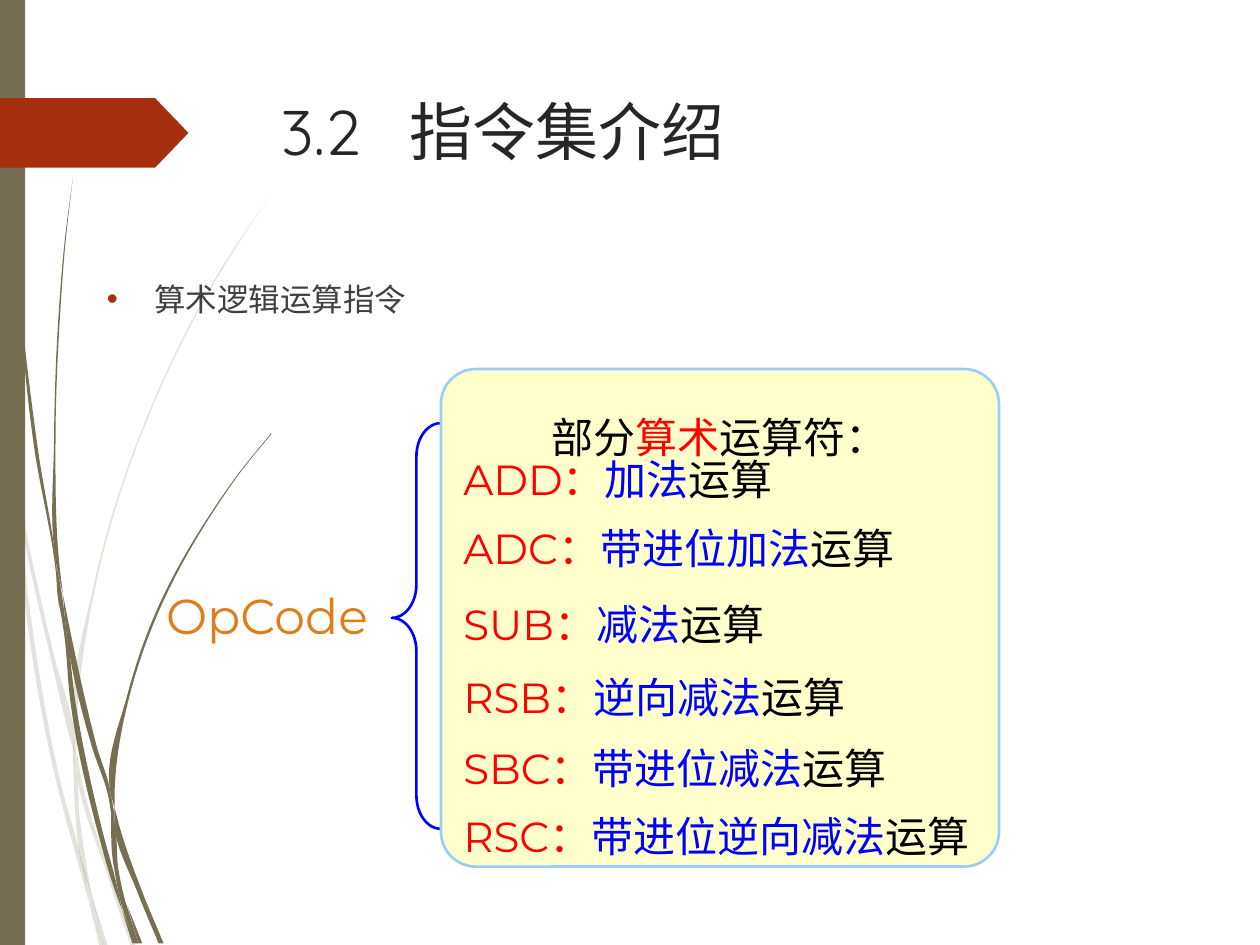
import pptx
import pptx.dml.color
import pptx.enum.shapes
import pptx.enum.text
import pptx.oxml
import pptx.oxml.ns
import pptx.util

Cm = pptx.util.Cm
Color = pptx.dml.color.RGBColor
Preset = pptx.enum.shapes.MSO_SHAPE
Anchor = pptx.enum.text.MSO_ANCHOR
Align = pptx.enum.text.PP_ALIGN

OLIVE = Color(0x76, 0x6F, 0x54)
RUST = Color(0xA5, 0x30, 0x10)
ORANGE = Color(0xDE, 0x7E, 0x18)
INK = Color(0x26, 0x26, 0x26)
GREY = Color(0x40, 0x40, 0x40)
BLACK = Color(0, 0, 0)
RED = Color(0xFF, 0, 0)
BLUE = Color(0, 0, 0xFF)
CREAM = Color(0xFF, 0xFF, 0xCC)
SKY = Color(0x99, 0xCC, 0xFF)

HEADING, LABEL, SERIF = "Quicksand", "Montserrat", "Times New Roman"

PALE_BLADES = [
    [(0, 7.16, 0), (0, 7.6, 0.06), (0.09, 8.18, 0.06), (0.2, 8.89, 0)],
    [(0.25, 8.76, 0), (0.3, 9.55, 0.04), (1.02, 13.26, 0.08), (1.41, 14.88, 0.09), (1.5, 15.21, 0)],
    [(1.55, 15.14, 0), (1.55, 15.49, 0.05), (2.16, 17.63, 0.06), (2.64, 19.08, 0.1)],
    [(1.85, 18.06, 0), (2.11, 19.08, 0.07)],
    [(0.2, 8.89, 0), (0.3, 9.55, 0.03), (0.48, 11.94, 0.08), (1.14, 15.77, 0.08),
     (1.63, 17.6, 0.07), (1.78, 18.14, 0)],
    [(1.47, 15.21, 0), (1.48, 15.49, 0.06), (1.52, 16.41, 0.08), (1.63, 17.35, 0.1),
     (1.85, 18.06, 0)],
    [(5.51, 3.89, 0), (5.1, 4.45, 0.01), (4.72, 5, 0.03), (4.01, 6.2, 0.03), (2.79, 8.84, 0.03),
     (1.91, 11.71, 0.04), (1.5, 14.83, 0.05), (1.55, 15.14, 0)],
    [(1.78, 18.14, 0), (2.01, 19.08, 0.08)],
    [(1.5, 14.88, 0), (1.47, 15.21, 0.07), (1.55, 15.49, 0)],
    [(1.65, 17.35, 0), (1.75, 17.96, 0.08), (2.08, 19.08, 0.03)],
]
DARK_BLADES = [
    [(0.05, 0, 0.03), (0.13, 2.79, 0.03), (0.36, 5.91, 0.03), (0.69, 9.02, 0.07),
     (1.13, 11.55, 0.02), (1.19, 12.22, 0)],
    [(1.27, 11.99, 0), (1.35, 12.83, 0.09), (1.85, 15.04, 0.1), (2.19, 16.08, 0.05),
     (2.24, 16.38, 0)],
    [(2.31, 16.28, 0), (2.31, 16.66, 0.1), (2.77, 17.98, 0.1), (3.2, 19.02, 0.1)],
    [(1.19, 12.12, 0), (1.3, 12.83, 0.05), (1.42, 14.14, 0.1), (1.96, 16.73, 0.1),
     (2.3, 17.9, 0.07), (2.46, 18.34, 0)],
    [(1.47, 3.58, 0), (1.3, 4.9, 0.02), (1.19, 6.22, 0.03), (1.09, 8.86, 0.03),
     (1.14, 11.4, 0.06), (1.27, 11.99, 0)],
    [(2.57, 18.26, 0), (2.79, 19.02, 0.08)],
    [(1.14, 11.4, 0), (1.16, 11.99, 0.09), (1.35, 12.83, 0)],
    [(5.46, 8.74, 0.02), (4.85, 9.49, 0.02), (4.28, 10.3, 0.03), (3.28, 12.04, 0.05),
     (2.57, 14, 0.05), (2.24, 16.03, 0.07), (2.31, 16.28, 0)],
    [(2.46, 18.34, 0), (2.67, 19.02, 0.08)],
    [(2.24, 16.38, 0), (2.24, 16.5, 0.04), (2.31, 17.55, 0.08), (2.54, 18.26, 0)],
    [(2.24, 16.03, 0), (2.24, 16.38, 0.06), (2.31, 16.66, 0)],
    [(2.31, 17.55, 0), (2.44, 18.21, 0.1), (2.74, 19.02, 0.05)],
]
OPERATORS = [
    (1.6, "ADD：", "加法"),
    (3, "ADC：", "带进位加法"),
    (4.52, "SUB：", "减法"),
    (6, "RSB：", "逆向减法"),
    (7.42, "SBC：", "带进位减法"),
    (8.79, "RSC：", "带进位逆向减法"),
]


def write_span(para, text, *, font, size, color):
    span = para.add_run()
    span.text = text
    span.font.name = font
    span.font.size = pptx.util.Pt(size)
    span.font.color.rgb = color


def add_paragraph_mark(para, xml):
    namespace = pptx.oxml.ns.nsdecls("a")
    para._p.get_or_add_pPr().append(pptx.oxml.parse_xml(xml.format(namespace)))


def paint(shape, fill=None, line=None):
    shape.shadow.inherit = False
    if fill is None:
        shape.fill.background()
    else:
        shape.fill.solid()
        shape.fill.fore_color.rgb = fill
    if line is None:
        shape.line.fill.background()
    else:
        shape.line.color.rgb = line
        shape.line.width = pptx.util.Pt(1.5)


def add_preset(page, preset, box, fill=None, line=None):
    shape = page.shapes.add_shape(preset, *(Cm(length) for length in box))
    paint(shape, fill, line)
    return shape


def curve_through(points):
    gaps = [end[1] - start[1] for start, end in zip(points, points[1:])]
    rates = [(end[0] - start[0]) / gap for start, end, gap in zip(points, points[1:], gaps)]
    inner = [(gaps[i] * rates[i + 1] + gaps[i + 1] * rates[i]) / (gaps[i] + gaps[i + 1])
             for i in range(len(gaps) - 1)]
    slopes = [rates[0], *inner, rates[-1]]
    curve = [points[0]]
    for i, gap in enumerate(gaps):
        (x, y), (end_x, end_y) = points[i:i + 2]
        third = gap / 3
        curve += [(x + third * slopes[i], y + third),
                  (end_x - third * slopes[i + 1], end_y - third), (end_x, end_y)]
    return curve


def add_blade(page, left, top, points, opacity):
    near = curve_through([(left + x, top + y) for x, y, _ in points])
    far = curve_through([(left + x + width, top + y) for x, y, width in points])
    outline = [(Cm(x), Cm(y)) for x, y in near + [near[-1], far[-1]] + far[::-1]]
    builder = page.shapes.build_freeform(*outline[0])
    builder.add_line_segments(outline[1:], close=True)
    blade = builder.convert_to_shape()
    paint(blade, OLIVE)
    lines = list(blade.element.iter(pptx.oxml.ns.qn("a:lnTo")))
    for start in range(0, len(lines) - 2, 3):
        bend = pptx.oxml.parse_xml("<a:cubicBezTo {}/>".format(pptx.oxml.ns.nsdecls("a")))
        lines[start].addprevious(bend)
        for line in lines[start:start + 3]:
            bend.append(line[0])
            line.getparent().remove(line)
    color = next(blade.element.iter(pptx.oxml.ns.qn("a:srgbClr")))
    alpha = '<a:alpha {} val="{}"/>'.format(pptx.oxml.ns.nsdecls("a"), opacity * 1000)
    color.append(pptx.oxml.parse_xml(alpha))


def draw_backdrop(page, left, top, width, height):
    for blades, opacity in ((PALE_BLADES, 20), (DARK_BLADES, 100)):
        for points in blades:
            add_blade(page, left, top, points, opacity)
    add_preset(page, Preset.RECTANGLE, (left, top, 0.51, height), OLIVE)
    tag = add_preset(page, Preset.PENTAGON, (left, top + 1.98, 3.8, 1.4), RUST)
    tag.adjustments[0] = 0.48


def prepare_placeholder(shape, box):
    shape.left, shape.top, shape.width, shape.height = (Cm(length) for length in box)
    shape.element.getparent().append(shape.element)
    frame = shape.text_frame
    frame.auto_size = pptx.enum.text.MSO_AUTO_SIZE.NONE
    frame.vertical_anchor = Anchor.TOP
    para = frame.paragraphs[0]
    para.alignment = Align.LEFT
    para.space_before = pptx.util.Pt(0)
    return para


def write_title(page, *box):
    para = prepare_placeholder(page.shapes.title, box)
    add_paragraph_mark(para, '<a:tabLst {}><a:tab pos="932000" algn="l"/></a:tabLst>')
    write_span(para, "3.2\t指令集介绍", font=HEADING, size=36, color=INK)


def write_topic(page, *box):
    para = prepare_placeholder(page.placeholders[1], box)
    properties = para._p.get_or_add_pPr()
    properties.set("marL", str(Cm(0.96)))
    properties.set("indent", str(-Cm(0.96)))
    add_paragraph_mark(para, f'<a:buClr {{}}><a:srgbClr val="{RUST}"/></a:buClr>')
    add_paragraph_mark(para, '<a:buFont {} typeface="Arial"/>')
    add_paragraph_mark(para, '<a:buChar {} char="•"/>')
    write_span(para, "算术逻辑运算指令", font=HEADING, size=18, color=GREY)


def add_text_box(page, box, anchor):
    frame = page.shapes.add_textbox(*(Cm(length) for length in box)).text_frame
    frame.vertical_anchor = anchor
    frame.word_wrap = True
    frame.margin_right = Cm(0)
    return frame.paragraphs[0]


def draw_opcode(page, left, top, width, height):
    para = add_text_box(page, (left, top + 3.15, 4.7, 1.45), Anchor.TOP)
    write_span(para, "OpCode", font=LABEL, size=28, color=ORANGE)
    brace = add_preset(page, Preset.LEFT_BRACE, (left + width - 0.99, top, 0.99, height), line=BLUE)
    brace.adjustments[0] = 0.68
    brace.adjustments[1] = 0.48


def draw_operators(page, left, top, width, height):
    panel = add_preset(page, Preset.ROUNDED_RECTANGLE, (left, top, width, height), CREAM, SKY)
    panel.adjustments[0] = 0.07
    frame = panel.text_frame
    frame.vertical_anchor = Anchor.TOP
    frame.margin_top = Cm(0.65)
    heading = frame.paragraphs[0]
    heading.alignment = Align.CENTER
    for text, color in (("部分", BLACK), ("算术", RED), ("运算符：", BLACK)):
        write_span(heading, text, font=SERIF, size=24, color=color)
    for offset, code, meaning in OPERATORS:
        para = add_text_box(page, (left + 0.2, top + offset, width - 0.25, 1.22), Anchor.MIDDLE)
        write_span(para, code, font=LABEL, size=24, color=RED)
        write_span(para, meaning, font=SERIF, size=24, color=BLUE)
        write_span(para, "运算", font=SERIF, size=24, color=BLACK)


def main():
    deck = pptx.Presentation()
    deck.slide_width, deck.slide_height = Cm(25.4), Cm(19.05)
    page = deck.slides.add_slide(deck.slide_layouts[1])
    draw_backdrop(page, 0, 0, 25.4, 19.05)
    write_title(page, 5.41, 1.73, 18.31, 3.56)
    write_topic(page, 1.9, 5.51, 21.59, 1.9)
    draw_opcode(page, 3.1, 8.53, 5.79, 8.18)
    draw_operators(page, 8.89, 7.44, 11.25, 10.03)
    deck.save("out.pptx")


if __name__ == "__main__":
    main()
